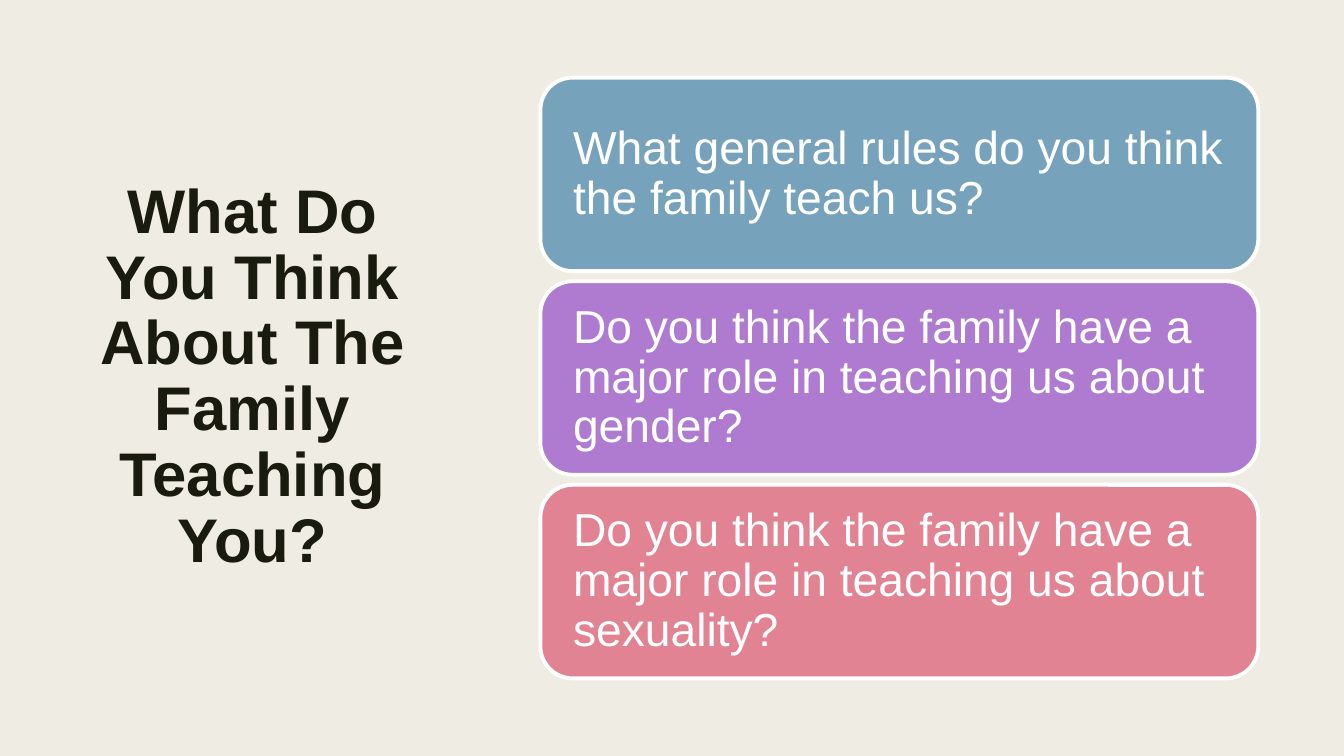
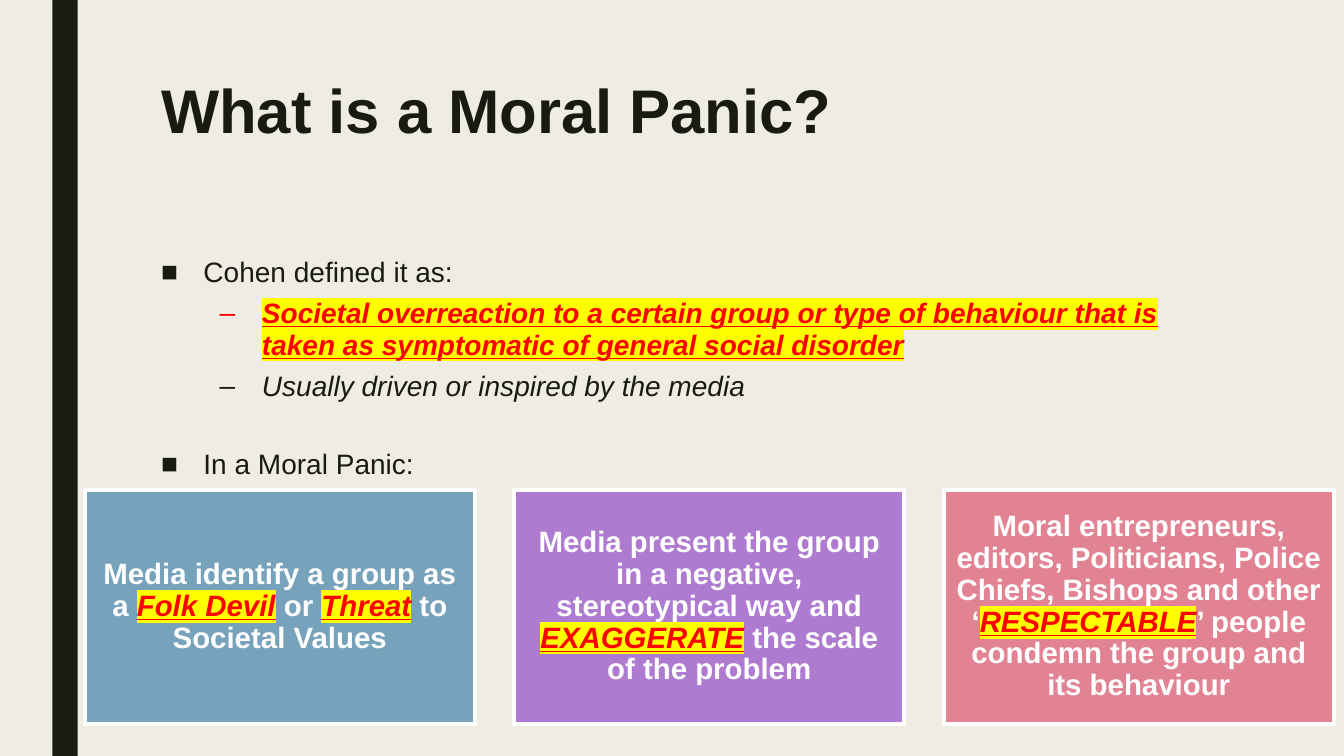
from lxml import etree
from pptx import Presentation
from pptx.dml.color import RGBColor
from pptx.enum.shapes import MSO_SHAPE
from pptx.enum.text import MSO_ANCHOR, PP_ALIGN
from pptx.oxml.ns import qn
from pptx.util import Inches, Pt

FONT = "Arial"
PAPER, INK, WHITE = "EFEDE3", "191B0E", "FFFFFF"
RED, YELLOW = "FF0000", "FFFF00"
CARD_COLOURS = ("77A2BB", "AE7BD0", "E28394")

QUESTIONS = (
    "What general rules do you think the family teach us?",
    "Do you think the family have a major role in teaching us about gender?",
    "Do you think the family have a major role in teaching us about sexuality?",
)

# In these texts, parts between asterisks are key terms.
DEFINITION = (
    # text, level, colour, italic, space before
    ("Cohen defined it as:", 0, INK, False, 10),
    ("*Societal overreaction to a certain group or type of behaviour that is "
     "taken as symptomatic of general social disorder*", 1, RED, True, 5),
    ("Usually driven or inspired by the media", 1, INK, True, 5),
    ("In a Moral Panic:", 0, INK, False, 31),
)
STAGES = (
    "Media identify a group as a *Folk Devil* or *Threat* to Societal Values",
    "Media present the group in a negative, stereotypical way and "
    "*EXAGGERATE* the scale of the problem",
    "Moral entrepreneurs, editors, Politicians, Police Chiefs, Bishops and "
    "other ‘*RESPECTABLE*’ people condemn the group and its behaviour",
)


def colour(value):
    return RGBColor.from_string(value)


def style_paragraph(para, size, text_colour, bold=False, italic=False,
                    align=PP_ALIGN.LEFT, line_spacing=0.9):
    para.alignment = align
    para.line_spacing = line_spacing
    font = para.font
    font.name, font.size, font.bold, font.italic = FONT, Pt(size), bold, italic
    font.color.rgb = colour(text_colour)


def add_marked_text(para, text):
    """Write text as runs, with the parts between asterisks as key terms."""
    for index, part in enumerate(text.split("*")):
        if part:
            span = para.add_run()
            span.text = part
            if index % 2:
                mark_key_term(span)


def mark_key_term(span):
    font = span.font
    font.bold = font.italic = font.underline = True
    font.color.rgb = colour(RED)
    highlight = etree.Element(qn("a:highlight"))
    etree.SubElement(highlight, qn("a:srgbClr"), val=YELLOW)
    span._r.rPr.find(qn("a:solidFill")).addnext(highlight)


def set_bullet(para, level, bullet_colour):
    properties = para._p.get_or_add_pPr()
    properties.set("marL", str(Inches((0.42, 1)[level])))
    properties.set("indent", str(Inches(-0.42)))
    para.level = level
    paint = etree.SubElement(properties, qn("a:buClr"))
    etree.SubElement(paint, qn("a:srgbClr"), val=bullet_colour)
    etree.SubElement(properties, qn("a:buFont"), typeface=FONT)
    etree.SubElement(properties, qn("a:buChar"), char="■–"[level])


def add_text_box(page, left, top, width, height, anchor=MSO_ANCHOR.TOP):
    box = page.shapes.add_textbox(Inches(left), Inches(top),
                                  Inches(width), Inches(height))
    frame = box.text_frame
    frame.word_wrap = True
    frame.vertical_anchor = anchor
    return frame


def add_title(page, text, left, top, width, height,
              align=PP_ALIGN.LEFT, anchor=MSO_ANCHOR.TOP):
    para = add_text_box(page, left, top, width, height, anchor).paragraphs[0]
    para.text = text
    style_paragraph(para, 44, INK, bold=True, align=align, line_spacing=0.89)


def add_block(page, kind, left, top, width, height, fill):
    block = page.shapes.add_shape(kind, Inches(left), Inches(top),
                                  Inches(width), Inches(height))
    block.shadow.inherit = False
    block.fill.solid()
    block.fill.fore_color.rgb = colour(fill)
    block.line.fill.background()
    return block


def add_card(page, kind, left, top, width, height, fill, text, inset, **style):
    card = add_block(page, kind, left, top, width, height, fill)
    card.line.color.rgb = colour(WHITE)
    card.line.width = Pt(2.75)
    frame = card.text_frame
    frame.word_wrap = True
    frame.vertical_anchor = MSO_ANCHOR.MIDDLE
    frame.margin_left = frame.margin_right = Inches(inset)
    frame.margin_top = frame.margin_bottom = Inches(inset)
    para = frame.paragraphs[0]
    add_marked_text(para, text)
    style_paragraph(para, text_colour=WHITE, **style)


def add_question_stack(page, left, top, width, height, gap):
    card_height = (height - gap * (len(QUESTIONS) - 1)) / len(QUESTIONS)
    for index, (text, fill) in enumerate(zip(QUESTIONS, CARD_COLOURS)):
        add_card(page, MSO_SHAPE.ROUNDED_RECTANGLE,
                 left, top + index * (card_height + gap), width, card_height,
                 fill, text, inset=0.23, size=33)


def add_stage_row(page, left, top, width, height, gap):
    card_width = (width - gap * (len(STAGES) - 1)) / len(STAGES)
    for index, (text, fill) in enumerate(zip(STAGES, CARD_COLOURS)):
        add_card(page, MSO_SHAPE.RECTANGLE,
                 left + index * (card_width + gap), top, card_width, height,
                 fill, text, inset=0.09, size=21, bold=True,
                 align=PP_ALIGN.CENTER)


def add_definition(page, left, top, width, height):
    frame = add_text_box(page, left, top, width, height)
    for index, (text, level, shade, italic, before) in enumerate(DEFINITION):
        para = frame.add_paragraph() if index else frame.paragraphs[0]
        set_bullet(para, level, shade)
        add_marked_text(para, text)
        style_paragraph(para, 20, shade, italic=italic, line_spacing=0.94)
        para.space_before, para.space_after = Pt(before), Pt(2)


def add_page(deck):
    page = deck.slides.add_slide(deck.slide_layouts[6])
    page.background.fill.solid()
    page.background.fill.fore_color.rgb = colour(PAPER)
    return page


def build_questions_page(deck):
    page = add_page(deck)
    add_title(page, "What Do You Think About The Family Teaching You?",
              0.7, 0.7, 3.61, 6.1, PP_ALIGN.CENTER, MSO_ANCHOR.MIDDLE)
    add_question_stack(page, 5.36, 0.77, 7.12, 5.96, gap=0.1)


def build_moral_panic_page(deck):
    page = add_page(deck)
    add_block(page, MSO_SHAPE.RECTANGLE, 0.52, 0, 0.25, 7.5, INK)
    add_title(page, "What is a Moral Panic?", 1.5, 0.75, 10.5, 1.62)
    add_definition(page, 1.5, 2.5, 10.5, 2.33)
    add_stage_row(page, 0.84, 4.86, 12.39, 2.32, gap=0.39)


def main():
    deck = Presentation()
    deck.slide_width, deck.slide_height = Inches(13.33), Inches(7.5)
    build_questions_page(deck)
    build_moral_panic_page(deck)
    deck.save("out.pptx")


if __name__ == "__main__":
    main()
